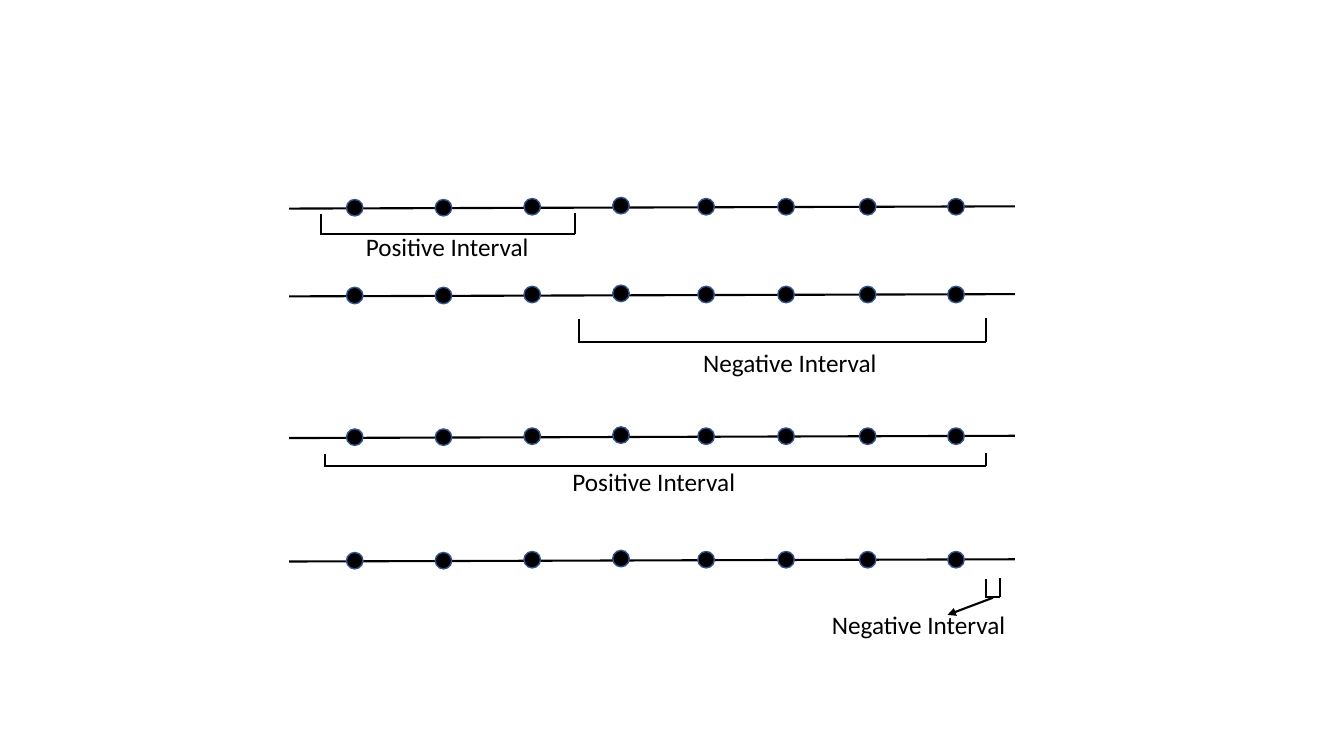
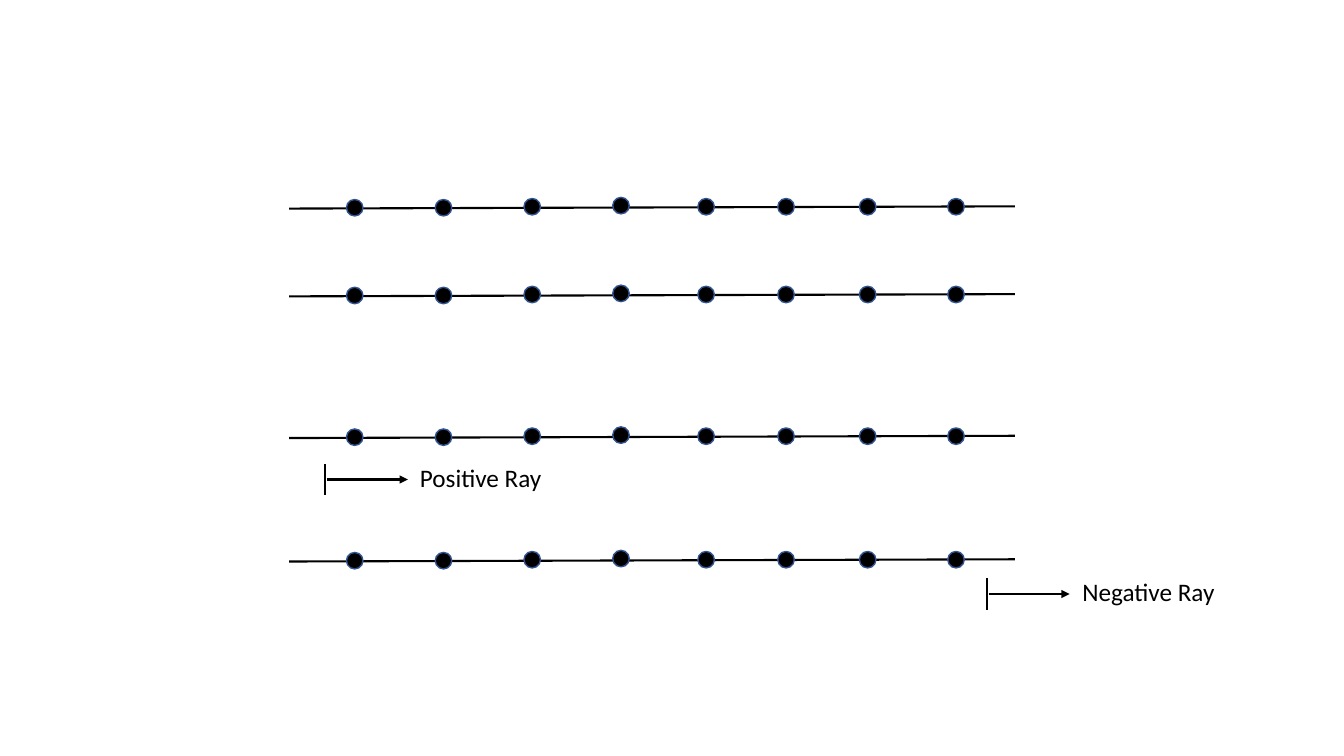
from dataclasses import dataclass

from lxml.etree import SubElement as Sub
from pptx import Presentation
from pptx.dml.color import RGBColor
from pptx.enum.shapes import MSO_CONNECTOR as Link, MSO_SHAPE as Kind
from pptx.enum.text import MSO_AUTO_SIZE as Fit
from pptx.oxml.ns import qn
from pptx.shapes.shapetree import _BaseGroupShapes as Tree
from pptx.util import Pt

# Shared style, lengths in points
INK, RIM = "000000", "325491"
FONT, SIZE = "Calibri", 18
STROKE = 1.5
TEXT_H = 28.8

# Number lines: each tilts up slightly to the right
LEFT, RIGHT, TILT = 206.6, 725, 1.6
ROWS = (149, 211.7, 312.9, 401.1)
DOT = 11.8
DOTS = (
    (247.5, 6.5), (310.9, 6.5), (374.3, 7.2), (437.7, 8),
    (498.5, 7.2), (555.6, 7.2), (613.9, 7.2), (677, 7.2),
)
SKEW = 0.7
TICK = 22.4
GAP, REACH = 1.1, 58


@dataclass(frozen=True)
class Label:
    text: str
    x: float
    y: float
    w: float


@dataclass(frozen=True)
class Span:
    left: float
    right: float
    top: float
    base: float
    label: Label


@dataclass(frozen=True)
class Ray:
    x: float
    y: float
    label: Label


SPANS = (
    Span(229, 410.6, 152.2, 167, Label("Positive Interval", 254.2, 162, 132.5)),
    Span(413.4, 704.3, 226.9, 244.5, Label("Negative Interval", 495.2, 244.3, 144)),
    Span(232, 704.3, 323.6, 332.8, Label("Positive Interval", 401.8, 329.8, 132.5)),
    Span(704.3, 714.2, 412.9, 426.5, Label("Negative Interval", 587.2, 431.5, 144)),
)
RAYS = (
    Ray(232.3, 342.5, Label("Positive Ray", 292.9, 326.4, 132.5)),
    Ray(705, 424.3, Label("Negative Ray", 766.1, 408, 144)),
)


def paint(code: str) -> RGBColor:
    return RGBColor.from_string(code)


def line(tree: Tree, x1: float, y1: float, x2: float, y2: float,
         arrow: bool = False) -> None:
    link = tree.add_connector(Link.STRAIGHT, Pt(x1), Pt(y1), Pt(x2), Pt(y2))
    link.line.color.rgb = paint(INK)
    link.line.width = Pt(STROKE)
    if arrow:
        Sub(link.line._get_or_add_ln(), qn("a:tailEnd"), type="triangle")
    Sub(link._element.spPr, qn("a:effectLst"))


def dot(tree: Tree, x: float, y: float) -> None:
    mark = tree.add_shape(Kind.OVAL, Pt(x), Pt(y), Pt(DOT), Pt(DOT))
    mark.shadow.inherit = False
    mark.fill.solid()
    mark.fill.fore_color.rgb = paint(INK)
    mark.line.color.rgb = paint(RIM)
    mark.line.width = Pt(1)


def write(tree: Tree, label: Label) -> None:
    box = tree.add_textbox(Pt(label.x), Pt(label.y), Pt(label.w), Pt(TEXT_H))
    frame = box.text_frame
    frame.word_wrap = True
    frame.auto_size = Fit.SHAPE_TO_FIT_TEXT
    run = frame.paragraphs[0].add_run()
    run.text = label.text
    run.font.name = FONT
    run.font.size = Pt(SIZE)
    run.font.color.rgb = paint(INK)


def axis(tree: Tree, y: float) -> None:
    group = tree.add_group_shape().shapes
    line(group, LEFT, y, RIGHT, y - TILT)
    for x, rise in DOTS:
        dot(group, x, y - rise)


def draw_span(tree: Tree, span: Span) -> None:
    group = tree.add_group_shape().shapes
    line(group, span.left, span.top + SKEW, span.left, span.base + SKEW)
    line(group, span.right, span.top, span.right, span.base)
    line(group, span.left, span.base, span.right, span.base)
    write(tree, span.label)


def draw_ray(tree: Tree, ray: Ray) -> None:
    group = tree.add_group_shape().shapes
    write(group, ray.label)
    line(group, ray.x, ray.y - TICK / 2, ray.x, ray.y + TICK / 2)
    start = ray.x + GAP
    line(group, start, ray.y, start + REACH, ray.y, arrow=True)


deck = Presentation()
deck.slide_width, deck.slide_height = Pt(960), Pt(540)
blank = deck.slide_layouts[6]


def page() -> Tree:
    tree = deck.slides.add_slide(blank).shapes
    for y in ROWS:
        axis(tree, y)
    return tree


# Slide 1: intervals
tree = page()
for span in SPANS:
    draw_span(tree, span)
line(tree, 709.2, 427, 676.8, 439.2, arrow=True)

# Slide 2: rays
tree = page()
for ray in RAYS:
    draw_ray(tree, ray)

deck.save("out.pptx")
